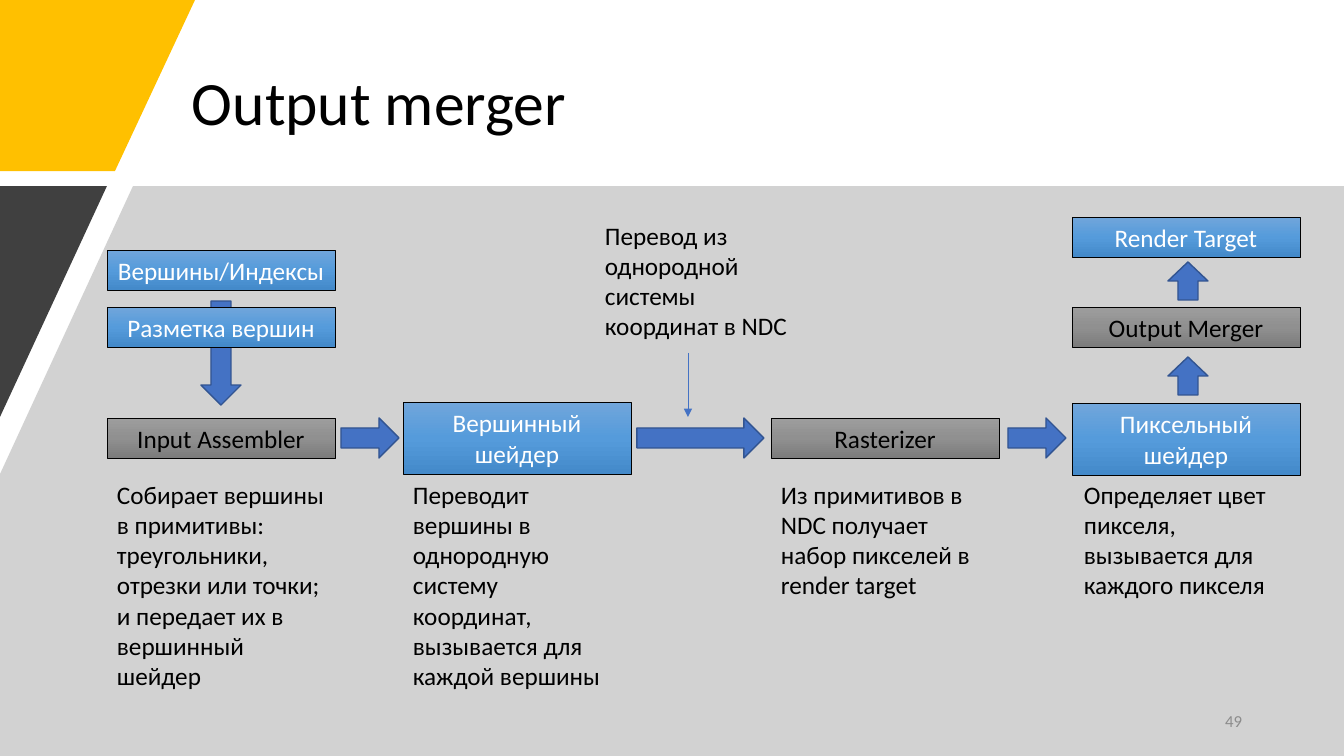
from copy import deepcopy

from lxml.etree import SubElement
from pptx import Presentation
from pptx.dml.color import RGBColor
from pptx.enum.shapes import MSO_CONNECTOR, MSO_SHAPE
from pptx.enum.text import MSO_ANCHOR, PP_ALIGN
from pptx.oxml.ns import qn
from pptx.util import Pt

PX = 914400 / 100.8
SLIDE_W, SLIDE_H = 1344, 756
FONT = "Calibri"

COLORS = {
    "black": "000000", "white": "FFFFFF", "number": "8C8C8C",
    "yellow": "FFC000", "dark": "404040", "panel": "A6A6A6",
    "arrow": "4472C4", "arrow_edge": "325491",
}
# box style: gradient from top to bottom, text colour
BOX_STYLES = {
    "blue": (("71A6DB", "559BDB", "448ACA"), "white"),
    "grey": (("9D9D9D", "909090", "7C7C7C"), "black"),
}

# outline points, colour, opacity in percent
BACKDROP = [
    ([(0, 0), (195, 0), (115, 171), (0, 171)], "yellow", 100),
    ([(133, 186), (SLIDE_W, 186), (SLIDE_W, SLIDE_H), (0, SLIDE_H), (0, 474)], "panel", 50),
    ([(0, 186), (107, 186), (0, 417)], "dark", 100),
]

COL_W, LOW, HIGH = 228, 40, 72
INPUT_X, VERTEX_X, RASTER_X, PIXEL_X = 107, 403, 771, 1072
NOTE_Y = 474

# text, left, top, height, style
BOXES = [
    ("Вершины/Индексы", INPUT_X, 250, LOW, "blue"),
    ("Разметка вершин", INPUT_X, 307, LOW, "blue"),
    ("Input Assembler", INPUT_X, 418, LOW, "grey"),
    ("Вершинный шейдер", VERTEX_X, 402, HIGH, "blue"),
    ("Rasterizer", RASTER_X, 418, LOW, "grey"),
    ("Пиксельный шейдер", PIXEL_X, 403, HIGH, "blue"),
    ("Output Merger", PIXEL_X, 307, LOW, "grey"),
    ("Render Target", PIXEL_X, 217, LOW, "blue"),
]
# text, left, top, height
NOTES = [
    ("Собирает вершины в примитивы: треугольники, отрезки или точки; "
     "и передает их в вершинный шейдер", INPUT_X, NOTE_Y, 254),
    ("Переводит вершины в однородную систему координат, "
     "вызывается для каждой вершины", VERTEX_X, NOTE_Y, 224),
    ("Из примитивов в NDC получает набор пикселей в render target", RASTER_X, NOTE_Y, 132),
    ("Определяет цвет пикселя, вызывается для каждого пикселя", PIXEL_X + 2, NOTE_Y, 132),
    ("Перевод из однородной системы координат в NDC", 595, 215, 132),
]
# preset, left, top, width, height
ARROW_T = 40
ARROWS = [
    (MSO_SHAPE.DOWN_ARROW, 201, 301, ARROW_T, 104),
    (MSO_SHAPE.RIGHT_ARROW, 341, 418, 58, ARROW_T),
    (MSO_SHAPE.RIGHT_ARROW, 637, 418, 127, ARROW_T),
    (MSO_SHAPE.RIGHT_ARROW, 1008, 418, 58, ARROW_T),
    (MSO_SHAPE.UP_ARROW, 1168, 357, ARROW_T, 38),
    (MSO_SHAPE.UP_ARROW, 1168, 262, ARROW_T, 38),
]
POINTER = (688, 353, 688, 417)


def emu(*lengths):
    return [round(n * PX) for n in lengths]


def rgb(name):
    return RGBColor.from_string(COLORS[name])


def set_text(sp, text, size, color, align=PP_ALIGN.LEFT, anchor=MSO_ANCHOR.TOP):
    tf = sp.text_frame
    tf.word_wrap = True
    tf.vertical_anchor = anchor
    p = tf.paragraphs[0]
    p.text = text
    p.alignment = align
    font = p.runs[0].font
    font.name, font.size = FONT, Pt(size)
    font.color.rgb = rgb(color)
    return p


def add_text(shapes, text, box, size, color, **layout):
    return set_text(shapes.add_textbox(*emu(*box)), text, size, color, **layout)


def add_outline(shapes, points, color, opacity):
    builder = shapes.build_freeform(*points[0], scale=PX)
    builder.add_line_segments(points[1:], close=True)
    sp = builder.convert_to_shape()
    sp.shadow.inherit = False
    sp.fill.solid()
    sp.fill.fore_color.rgb = rgb(color)
    sp.line.fill.background()
    if opacity < 100:
        clr = sp._element.spPr.find(".//" + qn("a:srgbClr"))
        SubElement(clr, qn("a:alpha"), val=str(opacity * 1000))


def add_preset(shapes, preset, box, edge, edge_width):
    sp = shapes.add_shape(preset, *emu(*box))
    sp.shadow.inherit = False
    sp.line.color.rgb = rgb(edge)
    sp.line.width = Pt(edge_width)
    return sp


def fill_gradient(sp, hexes):
    """Fill from top to bottom with three evenly spaced colours."""
    sp.fill.gradient()
    sp.fill.gradient_angle = 270
    first = sp._element.spPr.find(".//" + qn("a:gs"))
    first.addnext(deepcopy(first))
    for i, (stop, color) in enumerate(zip(sp.fill.gradient_stops, hexes)):
        stop.position = i / 2
        stop.color.rgb = RGBColor.from_string(color)


def add_pointer(shapes):
    line = shapes.add_connector(MSO_CONNECTOR.STRAIGHT, *emu(*POINTER))
    line.line.color.rgb = rgb("arrow")
    line.line.width = Pt(0.5)
    SubElement(line.line._get_or_add_ln(), qn("a:tailEnd"), type="triangle")
    SubElement(line._element.spPr, qn("a:effectLst"))


def main():
    prs = Presentation()
    prs.slide_width, prs.slide_height = emu(SLIDE_W, SLIDE_H)
    shapes = prs.slides.add_slide(prs.slide_layouts[6]).shapes

    for outline in BACKDROP:
        add_outline(shapes, *outline)
    title = add_text(shapes, "Output merger", (182, 40, 1032, 131), 44, "black",
                     anchor=MSO_ANCHOR.MIDDLE)
    title.line_spacing = 0.9
    add_text(shapes, "49", (950, 701, 302, 40), 12, "number",
             align=PP_ALIGN.RIGHT, anchor=MSO_ANCHOR.MIDDLE)

    for preset, *box in ARROWS:
        sp = add_preset(shapes, preset, box, "arrow_edge", 1)
        sp.fill.solid()
        sp.fill.fore_color.rgb = rgb("arrow")
    for text, x, y, h, style in BOXES:
        hexes, color = BOX_STYLES[style]
        sp = add_preset(shapes, MSO_SHAPE.RECTANGLE, (x, y, COL_W, h), "black", 0.5)
        fill_gradient(sp, hexes)
        set_text(sp, text, 18, color, PP_ALIGN.CENTER, MSO_ANCHOR.MIDDLE)
    for text, x, y, h in NOTES:
        add_text(shapes, text, (x, y, COL_W, h), 18, "black")
    add_pointer(shapes)
    prs.save("out.pptx")


if __name__ == "__main__":
    main()
